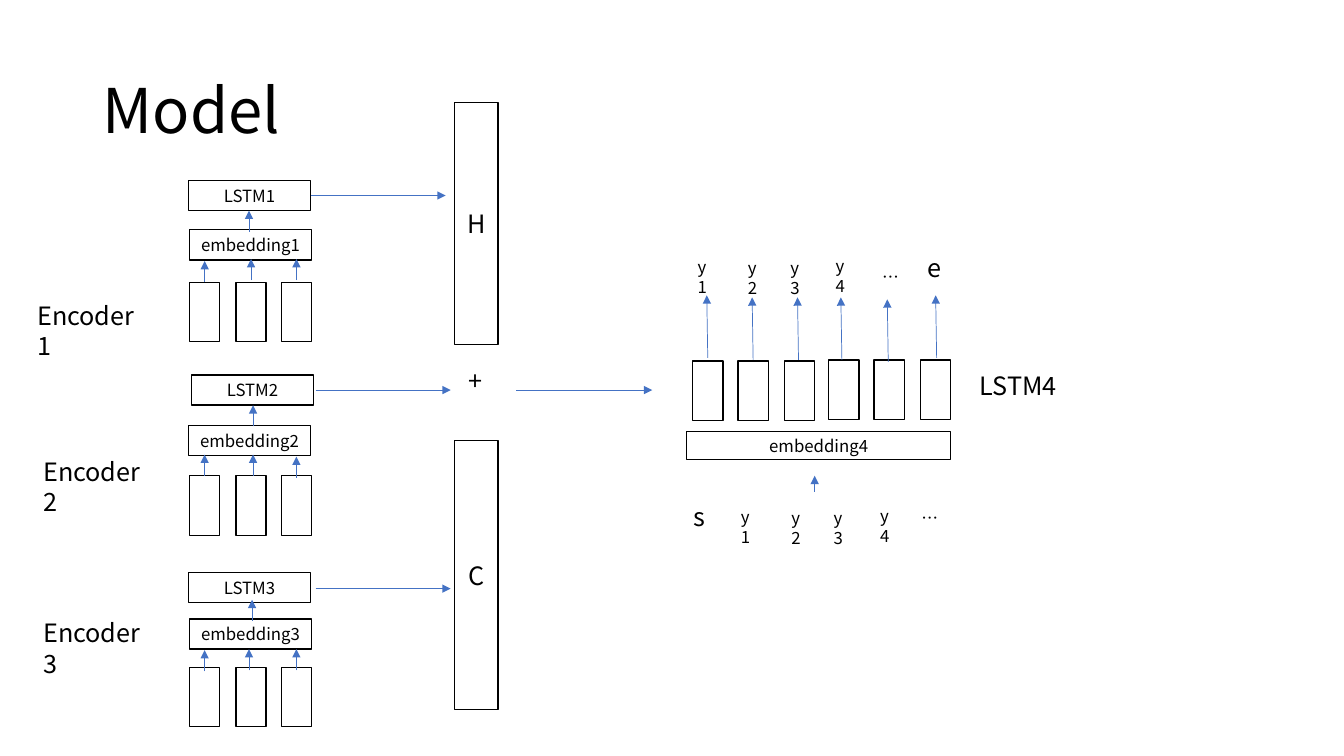
from lxml.etree import SubElement
from pptx import Presentation
from pptx.dml.color import RGBColor
from pptx.enum.shapes import MSO_CONNECTOR, MSO_SHAPE
from pptx.enum.text import MSO_ANCHOR, PP_ALIGN
from pptx.oxml.ns import qn
from pptx.util import Emu, Pt

EMU_PER_PX = 9144  # 100 px to the inch
FONT = "Noto Sans CJK SC"
COLORS = {"ink": "000000", "paper": "FFFFFF", "arrow": "4472C4"}
CELL_W, CELL_H = 30, 59
LAYER_W, LAYER_H = 121, 30
CELL_LEFTS = (188, 234, 279)
FEED_LENGTH = 21
OUTPUT_LENGTH = 134


def px(length):
    return Emu(length * EMU_PER_PX)


def color(name):
    return RGBColor.from_string(COLORS[name])


class Diagram:
    """Draws text, boxes and arrows in one style on one slide."""

    def __init__(self, slide):
        self.shapes = slide.shapes

    def add_words(self, frame, words, size, align, anchor):
        frame.word_wrap = True
        frame.vertical_anchor = anchor
        paragraph = frame.paragraphs[0]
        paragraph.alignment = align
        run = paragraph.add_run()
        run.text = words
        run.font.name = FONT
        run.font.size = Pt(size)
        run.font.color.rgb = color("ink")
        return paragraph

    def text(self, words, left, top, width, height, size=18, anchor=MSO_ANCHOR.TOP):
        label = self.shapes.add_textbox(px(left), px(top), px(width), px(height))
        return self.add_words(label.text_frame, words, size, PP_ALIGN.LEFT, anchor)

    def box(self, left, top, width, height, words="", size=12):
        rect = self.shapes.add_shape(
            MSO_SHAPE.RECTANGLE, px(left), px(top), px(width), px(height))
        rect.shadow.inherit = False
        rect.fill.solid()
        rect.fill.fore_color.rgb = color("paper")
        rect.line.color.rgb = color("ink")
        rect.line.width = Pt(1)
        if words:
            self.add_words(rect.text_frame, words, size, PP_ALIGN.CENTER, MSO_ANCHOR.MIDDLE)

    def arrow(self, x, y, dx, dy):
        """Draw an arrow from (x, y) that points by (dx, dy)."""
        connector = self.shapes.add_connector(
            MSO_CONNECTOR.STRAIGHT, px(x), px(y), px(x + dx), px(y + dy))
        connector.line.color.rgb = color("arrow")
        connector.line.width = Pt(0.5)
        properties = connector._element.spPr
        SubElement(properties.find(qn("a:ln")), qn("a:tailEnd"), type="triangle")
        SubElement(properties, qn("a:effectLst"))

    def encoder(self, number, label, lstm, embedding, cells_top, feeds, output):
        self.text(f"Encoder {number}", *label, 129, 40)
        for left in CELL_LEFTS:
            self.box(left, cells_top, CELL_W, CELL_H)
        self.box(*embedding, LAYER_W, LAYER_H, f"embedding{number}")
        self.box(*lstm, LAYER_W, LAYER_H, f"LSTM{number}")
        for x, y in feeds:
            self.arrow(x, y, 0, -FEED_LENGTH)
        self.arrow(*output, OUTPUT_LENGTH, 0)

    def tokens(self, placed):
        for words, left, top in placed:
            self.text(words, left, top, 37, 30, 12)


# number, label, LSTM, embedding, top of cells, upward arrows, output arrow
ENCODERS = (
    (1, (27, 293), (187, 179), (188, 228), 280,
     ((203, 280), (249, 278), (294, 278), (247, 230)), (308, 194)),
    (2, (33, 448), (190, 372), (187, 422), 472,
     ((203, 472), (251, 472), (294, 474), (251, 423)), (313, 387)),
    (3, (33, 608), (187, 568), (188, 614), 662,
     ((203, 666), (247, 665), (294, 665), (250, 616)), (313, 584)),
)

# cell left, cell top, arrow x, arrow y
DECODER_STEPS = (
    (687, 358, 702, 355), (732, 358, 747, 357), (778, 358, 792, 357),
    (822, 357, 835, 357), (867, 357, 881, 359), (913, 357, 929, 355),
)
DECODER_INPUTS = (("y1", 725, 498), ("y2", 775, 499), ("y3", 817, 499),
                  ("y4", 863, 497), ("…", 904, 499))
DECODER_OUTPUTS = (("y1", 682, 250), ("y2", 732, 251), ("y3", 774, 251),
                   ("y4", 819, 249), ("…", 865, 260))


def main():
    deck = Presentation()
    deck.slide_width, deck.slide_height = px(1333), px(750)
    diagram = Diagram(deck.slides.add_slide(deck.slide_layouts[6]))

    title = diagram.text("Model", 92, 40, 1150, 145, 44, MSO_ANCHOR.MIDDLE)
    title.line_spacing = 0.9

    for encoder in ENCODERS:
        diagram.encoder(*encoder)

    diagram.box(451, 102, 43, 240, "H", 18)
    diagram.box(451, 437, 43, 267, "C", 18)
    diagram.text("+", 455, 358, 37, 40)
    diagram.arrow(512, 387, 135, 0)

    for cell_left, cell_top, arrow_x, arrow_y in DECODER_STEPS:
        diagram.box(cell_left, cell_top, CELL_W, CELL_H)
        diagram.arrow(arrow_x, arrow_y, -1, -62)
    diagram.box(681, 428, 262, 28, "embedding4")
    diagram.arrow(808, 488, 0, -16)
    diagram.text("s", 678, 492, 31, 40)
    diagram.tokens(DECODER_INPUTS)
    diagram.tokens(DECODER_OUTPUTS)
    diagram.text("e", 910, 245, 33, 40)
    diagram.text("LSTM4", 962, 362, 138, 40)

    deck.save("out.pptx")


if __name__ == "__main__":
    main()
